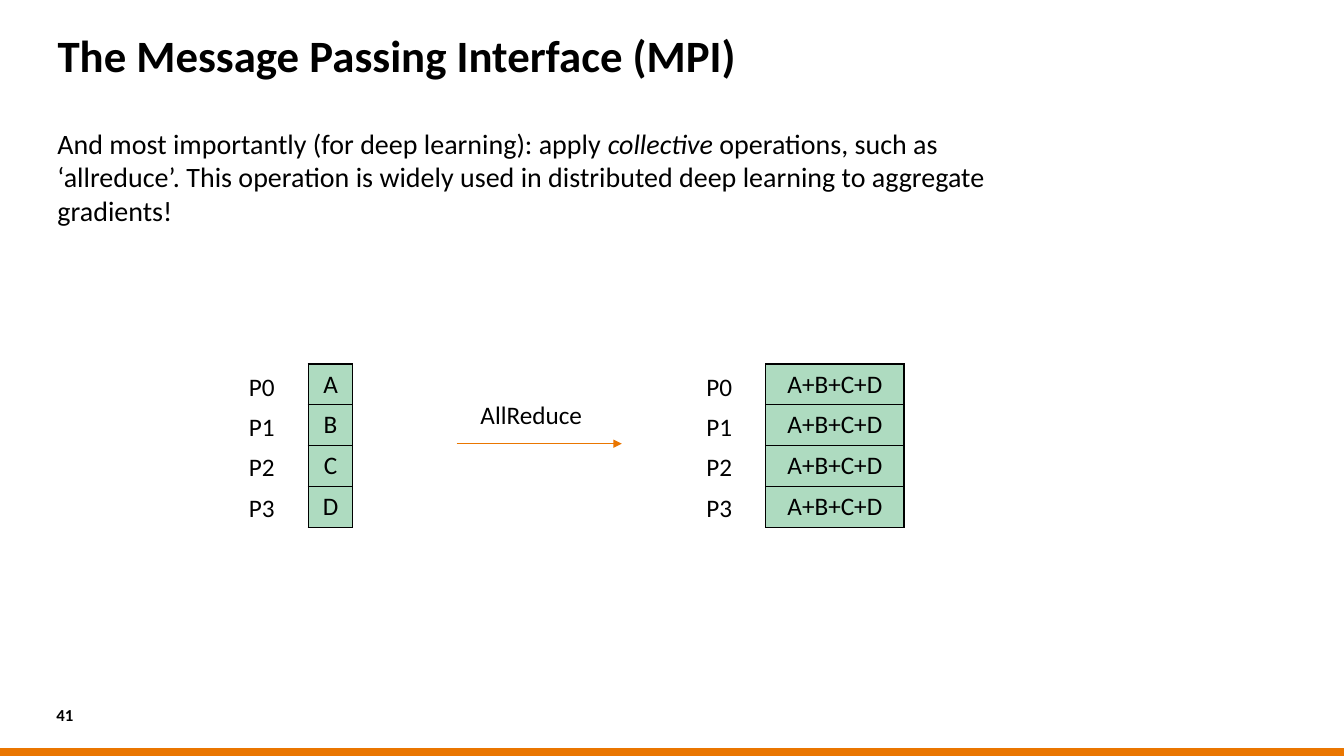
from lxml import etree
from pptx import Presentation
from pptx.dml.color import RGBColor
from pptx.enum.shapes import MSO_CONNECTOR, MSO_SHAPE
from pptx.enum.text import MSO_ANCHOR, MSO_AUTO_SIZE, PP_ALIGN
from pptx.oxml import parse_xml
from pptx.oxml.ns import nsdecls, qn
from pptx.util import Cm, Pt

TOP, MIDDLE = MSO_ANCHOR.TOP, MSO_ANCHOR.MIDDLE
LEFT, CENTER = PP_ALIGN.LEFT, PP_ALIGN.CENTER
FIT_SHAPE, NO_FIT = MSO_AUTO_SIZE.SHAPE_TO_FIT_TEXT, MSO_AUTO_SIZE.NONE

BLACK, ORANGE, GREEN = "000000", "EA7600", "AEDBC0"
FONT = "Calibri"

TITLE = "The Message Passing Interface (MPI)"
BODY = [
    ("And most importantly (for deep learning): apply ", False),
    ("collective", True),
    (" operations, such as ‘allreduce’. This operation is widely used in "
     "distributed deep learning to aggregate gradients!", False),
]
PAGE_NUMBER = "41"
OPERATION = "AllReduce"
PROCESSES = ["P0", "P1", "P2", "P3"]
# Values held by the processes, label left, table left, table width (cm)
STATES = [
    (["A", "B", "C", "D"], 6.02, 7.77, 1.12),
    (["A+B+C+D"] * 4, 17.55, 19.3, 3.48),
]

WIDTH, HEIGHT = 33.87, 19.05
BAR_HEIGHT = 0.2
TABLE_TOP, ROW_HEIGHT = 9.17, 1.03
LABEL_TOP, LABEL_PITCH = 9.22, 1.02
LABEL_SIZE = (1.3, 1.02)
ARROW_LEFT, ARROW_RIGHT, ARROW_Y = 11.51, 15.67, 11.18


def color(value):
    return RGBColor.from_string(value)


def apply(target, formats):
    for name, value in formats.items():
        setattr(target, name, value)


def write(para, spans, size, bold=False):
    """Fill a paragraph with (text, italic) spans."""
    for text, italic in spans:
        span = para.add_run()
        span.text = text
        apply(span.font, {"name": FONT, "size": Pt(size),
                          "bold": bold, "italic": italic})
        span.font.color.rgb = color(BLACK)


def set_insets(target, top=0):
    apply(target, {"margin_left": 0, "margin_top": Cm(top),
                   "margin_right": 0, "margin_bottom": 0})


def add_text(page, left, top, width, height):
    """Add an inset-free wrapping box and return its text frame."""
    frame = page.shapes.add_textbox(Cm(left), Cm(top), Cm(width), Cm(height)).text_frame
    frame.word_wrap = True
    set_insets(frame)
    return frame


def add_label(page, text, left, top, width, height):
    box = page.shapes.add_textbox(Cm(left), Cm(top), Cm(width), Cm(height))
    apply(box.text_frame, {"word_wrap": False, "auto_size": FIT_SHAPE})
    write(box.text_frame.paragraphs[0], [(text, False)], 18)


def add_borders(cell):
    properties = cell._tc.get_or_add_tcPr()
    for side in ("lnL", "lnR", "lnT", "lnB"):
        properties.append(parse_xml(
            f'<a:{side} {nsdecls("a")} w="{Pt(1)}"><a:solidFill>'
            f'<a:srgbClr val="{BLACK}"/></a:solidFill></a:{side}>'))


def add_values(page, values, left, width):
    frame = page.shapes.add_table(len(values), 1, Cm(left), Cm(TABLE_TOP),
                                  Cm(width), Cm(ROW_HEIGHT * len(values)))
    table = frame.table
    apply(table, {"first_row": False, "horz_banding": False})
    for row, value in enumerate(values):
        table.rows[row].height = Cm(ROW_HEIGHT)
        cell = table.cell(row, 0)
        set_insets(cell, 0.13)
        cell.vertical_anchor = TOP
        add_borders(cell)
        cell.fill.solid()
        cell.fill.fore_color.rgb = color(GREEN)
        para = cell.text_frame.paragraphs[0]
        para.alignment = CENTER
        write(para, [(value, False)], 18)


def add_arrow(page):
    arrow = page.shapes.add_connector(MSO_CONNECTOR.STRAIGHT, Cm(ARROW_LEFT), Cm(ARROW_Y),
                                      Cm(ARROW_RIGHT), Cm(ARROW_Y))
    arrow.line.width = Pt(0.5)
    arrow.line.color.rgb = color(ORANGE)
    etree.SubElement(arrow.line._get_or_add_ln(), qn("a:tailEnd"), type="triangle")
    etree.SubElement(arrow._element.spPr, qn("a:effectLst"))


def add_bar(page):
    bar = page.shapes.add_shape(MSO_SHAPE.RECTANGLE, 0, Cm(HEIGHT - BAR_HEIGHT),
                                Cm(WIDTH), Cm(BAR_HEIGHT))
    bar.shadow.inherit = False
    bar.fill.solid()
    bar.fill.fore_color.rgb = color(ORANGE)
    bar.line.fill.background()


def add_title(page):
    title = page.shapes.title
    apply(title, {"left": Cm(1.45), "top": Cm(0.76), "width": Cm(30.96), "height": Cm(1.68)})
    frame = title.text_frame
    apply(frame, {"vertical_anchor": TOP, "word_wrap": True, "auto_size": NO_FIT})
    set_insets(frame, 0.2)
    para = frame.paragraphs[0]
    apply(para, {"alignment": LEFT, "line_spacing": 0.8})
    write(para, [(TITLE, False)], 32, bold=True)


def main():
    deck = Presentation()
    apply(deck, {"slide_width": Cm(WIDTH), "slide_height": Cm(HEIGHT)})
    page = deck.slides.add_slide(deck.slide_layouts[5])

    add_bar(page)
    add_title(page)

    body = add_text(page, 1.45, 3.18, 24.92, 13.08).paragraphs[0]
    apply(body, {"space_before": Pt(6), "space_after": Pt(6)})
    write(body, BODY, 20)

    number = add_text(page, 1.42, 17.7, 1.09, 0.61)
    number.vertical_anchor = MIDDLE
    write(number.paragraphs[0], [(PAGE_NUMBER, False)], 12, bold=True)

    for values, label_left, table_left, table_width in STATES:
        add_values(page, values, table_left, table_width)
        for row, process in enumerate(PROCESSES):
            add_label(page, process, label_left, LABEL_TOP + row * LABEL_PITCH, *LABEL_SIZE)

    add_arrow(page)
    add_label(page, OPERATION, 11.86, 9.93, 3.43, 1.02)

    deck.save("out.pptx")


if __name__ == "__main__":
    main()
